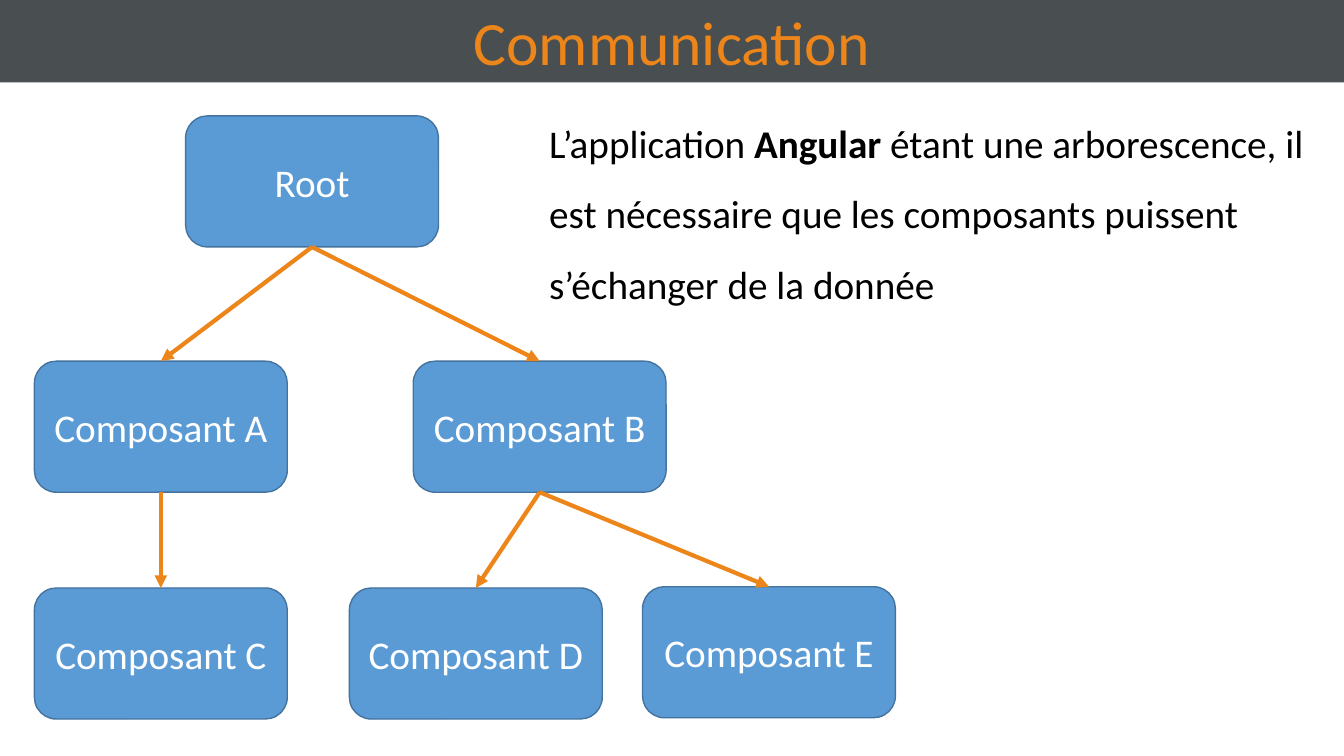
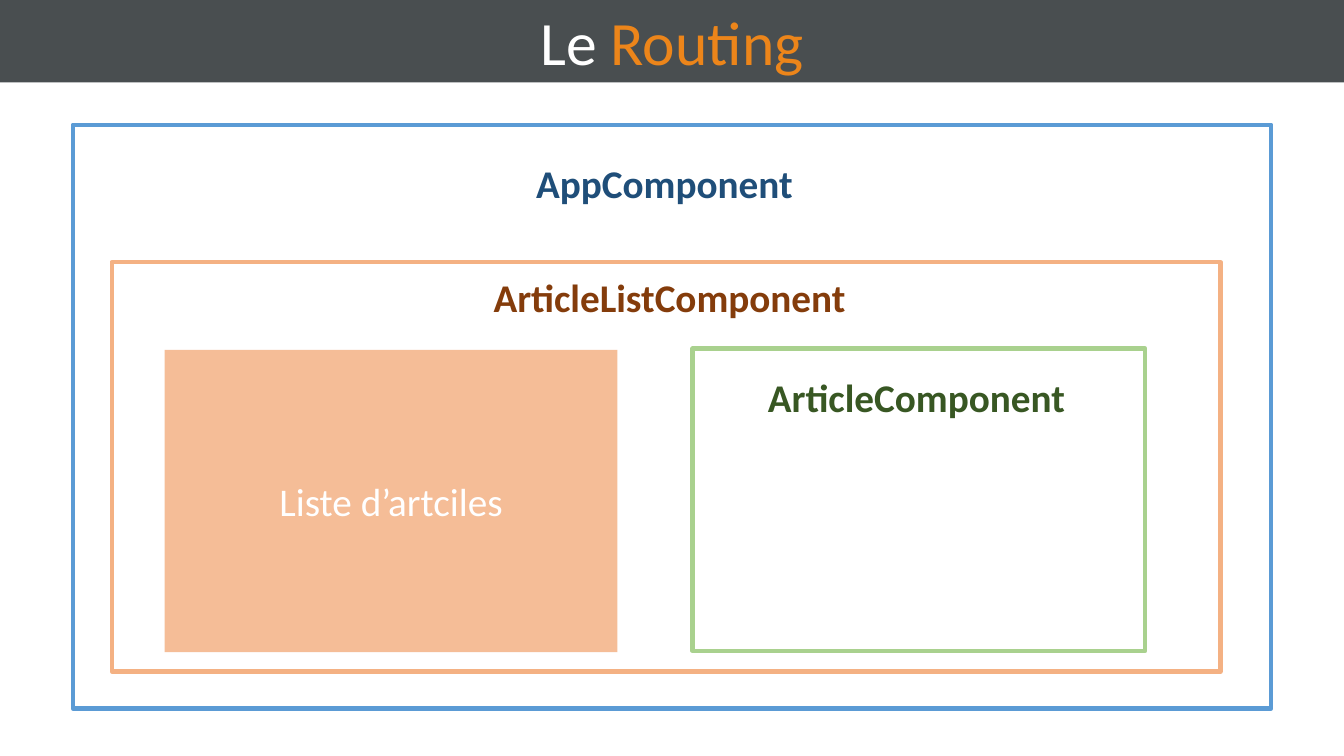
from lxml import etree
from pptx import Presentation
from pptx import util as u
from pptx.dml.color import RGBColor
from pptx.enum import shapes, text
from pptx.oxml.ns import qn

GREY = RGBColor(0x49, 0x4E, 0x50)
ORANGE = RGBColor(0xEC, 0x85, 0x1A)
WHITE = RGBColor(0xFF, 0xFF, 0xFF)
BLACK = RGBColor(0x00, 0x00, 0x00)
BLUE = RGBColor(0x5B, 0x9B, 0xD5)
BLUE_EDGE = RGBColor(0x43, 0x73, 0x9E)
NAVY = RGBColor(0x1F, 0x4E, 0x79)
PEACH = RGBColor(0xF4, 0xB1, 0x83)
RUST = RGBColor(0xED, 0x7D, 0x31)
BROWN = RGBColor(0x84, 0x3C, 0x0B)
GREEN = RGBColor(0xA9, 0xD1, 0x8E)
FOREST = RGBColor(0x38, 0x57, 0x23)

COLS, ROWS = 160, 90  # square cells
BOTTOM, TOP = 2, 0  # connection sites of a box
SHAPE = shapes.MSO_SHAPE


class Deck:
    """Style, grid and current slide."""
    font, title_size, body_size = "Calibri", 44, 28
    band_rows = 9.8

    def __init__(self):
        self.prs = Presentation()
        self.prs.slide_width = u.Inches(13.33)
        self.prs.slide_height = u.Inches(7.5)

    def place(self, col, row, cols, rows):
        cw, rh = self.prs.slide_width / COLS, self.prs.slide_height / ROWS
        return [round(v) for v in (col * cw, row * rh, cols * cw, rows * rh)]

    def set_text(self, tf, runs, size, color, bold=False, align=text.PP_ALIGN.CENTER):
        """Fill one paragraph; each run is (text, font settings)."""
        p = tf.paragraphs[0]
        p.alignment = align
        p.font.name, p.font.size = self.font, u.Pt(size)
        p.font.bold, p.font.color.rgb = bold, color
        for words, own in runs:
            r = p.add_run()
            r.text = words
            if "color" in own:
                r.font.color.rgb = own["color"]
            if "bold" in own:
                r.font.bold = own["bold"]
        return p

    def slide(self, *title_runs):
        """New slide whose title is the dark band."""
        self.s = self.prs.slides.add_slide(self.prs.slide_layouts[5])
        sp = self.s.shapes.title
        sp.left, sp.top, sp.width, sp.height = self.place(0, 0, COLS, self.band_rows)
        sp.fill.solid()
        sp.fill.fore_color.rgb = GREY
        tf = sp.text_frame
        tf.auto_size = text.MSO_AUTO_SIZE.NONE
        tf.vertical_anchor = text.MSO_ANCHOR.MIDDLE
        self.set_text(tf, title_runs, self.title_size, ORANGE)

    def box(self, at, kind=SHAPE.RECTANGLE, fill=None, line=None, width=3,
            words=None, alpha=None):
        sp = self.s.shapes.add_shape(kind, *self.place(*at))
        sp.shadow.inherit = False
        if fill is None:
            sp.fill.background()
        else:
            sp.fill.solid()
            sp.fill.fore_color.rgb = fill
        if alpha is not None:
            clr = sp.element.spPr.find(qn("a:solidFill"))[0]
            etree.SubElement(clr, qn("a:alpha")).set("val", str(alpha * 1000))
        if line is None:
            sp.line.fill.background()
        else:
            sp.line.color.rgb, sp.line.width = line, u.Pt(width)
        if words:
            sp.text_frame.vertical_anchor = text.MSO_ANCHOR.MIDDLE
            self.set_text(sp.text_frame, [(words, {})], self.body_size, WHITE)
        return sp

    def arrow(self, start, end):
        """Arrow from the foot of one box to the head of another."""
        c = self.s.shapes.add_connector(shapes.MSO_CONNECTOR.STRAIGHT, 0, 0, 0, 0)
        c.begin_connect(start, BOTTOM)
        c.end_connect(end, TOP)
        c.line.color.rgb, c.line.width = ORANGE, u.Pt(3)
        props = c.element.spPr
        etree.SubElement(props.find(qn("a:ln")), qn("a:tailEnd")).set("type", "triangle")
        etree.SubElement(props, qn("a:effectLst"))

    def paragraph(self, at, *runs):
        tf = self.s.shapes.add_textbox(*self.place(*at)).text_frame
        tf.word_wrap = True
        p = self.set_text(tf, runs, self.body_size, BLACK, align=text.PP_ALIGN.LEFT)
        p.line_spacing = 1.5

    def label(self, words, center, row, cols, color):
        at = self.place(center - cols / 2, row, cols, 6.8)
        tf = self.s.shapes.add_textbox(*at).text_frame
        tf.word_wrap = False
        self.set_text(tf, [(words, {})], self.body_size, color, bold=True)


def communication(d):
    d.slide(("Communication", {}))
    d.paragraph((64.2, 10.8, 93.5, 26.6),
                ("L’application ", {}), ("Angular", {"bold": True}),
                (" étant une arborescence, il est nécessaire que les composants "
                 "puissent s’échanger de la donnée", {}))
    # Component tree: name, parent, column, row
    tree = [("Root", None, 22.1, 13.8),
            ("Composant A", "Root", 4.1, 43),
            ("Composant B", "Root", 49.2, 43),
            ("Composant C", "Composant A", 4.1, 70),
            ("Composant D", "Composant B", 41.6, 70),
            ("Composant E", "Composant B", 76.5, 69.85)]
    nodes = {}
    for name, parent, col, row in tree:
        nodes[name] = d.box((col, row, 30.1, 15.6), SHAPE.ROUNDED_RECTANGLE,
                            BLUE, BLUE_EDGE, 1, name)
        if parent:
            d.arrow(nodes[parent], nodes[name])


def routing(d):
    d.slide(("Le ", {"color": WHITE}), ("Routing", {}))
    # Nested component frames
    d.box((8.65, 14.85, 142.7, 69.5), line=BLUE)
    d.box((13.3, 31.2, 132, 48.75), line=PEACH)
    d.box((82.45, 41.5, 53.9, 36), line=GREEN)
    d.box((19.6, 41.65, 53.9, 36), fill=RUST, alpha=50, words="Liste d’artciles")
    # Frame names
    d.label("AppComponent", 79.1, 18.4, 33.2, NAVY)
    d.label("ArticleListComponent", 79.7, 32, 44.9, BROWN)
    d.label("ArticleComponent", 109.1, 43.9, 38.2, FOREST)


def main():
    d = Deck()
    communication(d)
    routing(d)
    d.prs.save("out.pptx")


if __name__ == "__main__":
    main()
